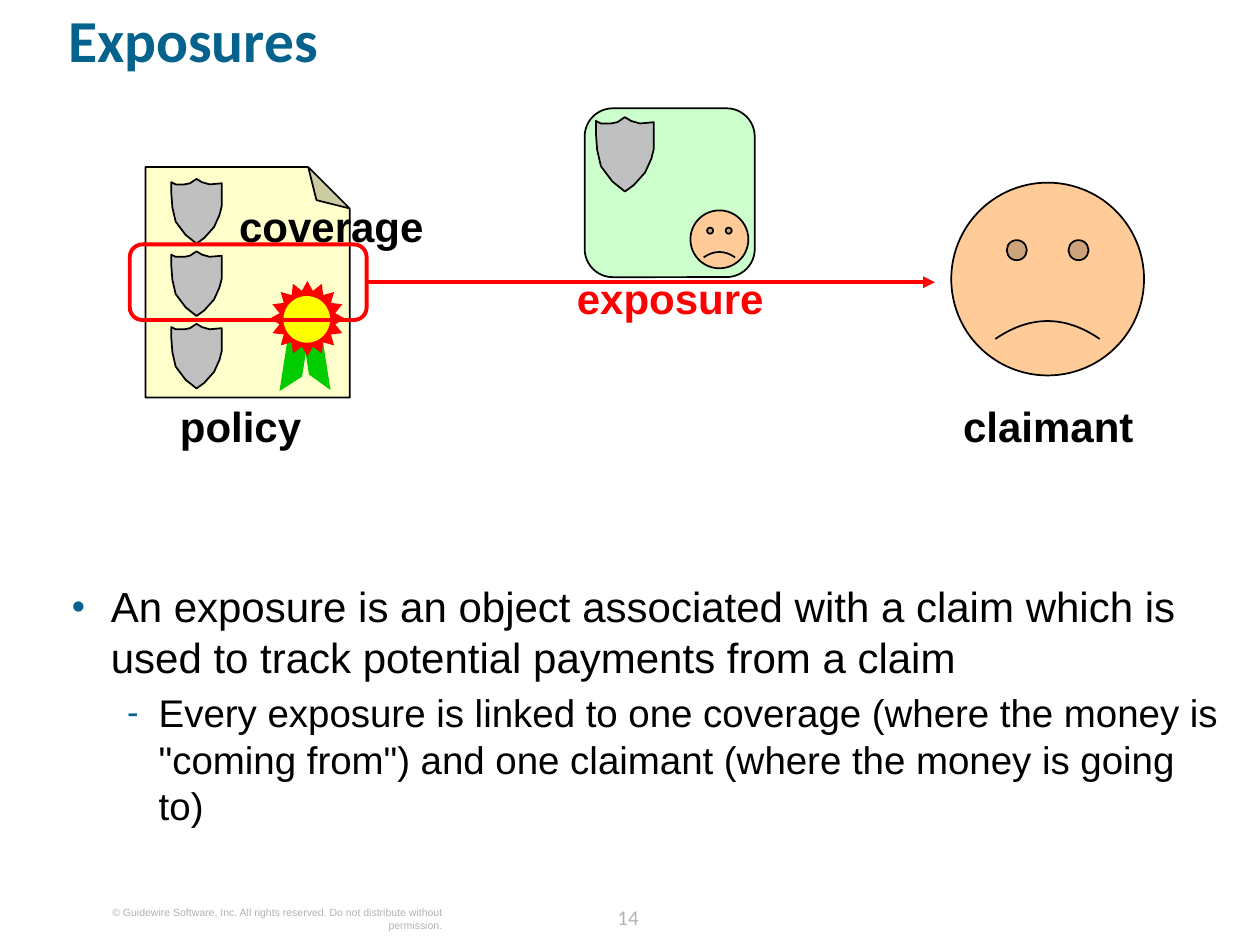
from lxml.etree import SubElement
from pptx import Presentation
from pptx.dml.color import RGBColor
from pptx.enum.shapes import MSO_CONNECTOR, MSO_SHAPE
from pptx.enum.text import MSO_ANCHOR, MSO_AUTO_SIZE, PP_ALIGN
from pptx.oxml.ns import qn
from pptx.util import Inches, Pt

BLACK, RED, BLUE, GRAY, SKIN = "000000", "FF0000", "04628C", "B2B2B2", "FFCC99"
FROWN = -0.047
# Outline of a shield, in hundredths of its 46 by 60 box
SHIELD = [(23, 59), (13, 51), (4, 39), (1, 26), (0, 13), (0, 3), (4, 5),
          (12, 5), (17, 4), (23, 0), (28, 3), (35, 5), (46, 4), (46, 25),
          (44, 33), (39, 44), (30, 54)]


def color(code):
    return RGBColor.from_string(code)


class Board:
    """Holds the slide, the style and the shape tree being drawn on."""

    def __init__(self, slide):
        self.slide = slide
        self.shapes = slide.shapes
        self.font = "Arial"

    def group(self):
        """Send the next shapes to a new group."""
        self.shapes = self.slide.shapes.add_group_shape().shapes

    def ungroup(self):
        self.shapes = self.slide.shapes

    def paint(self, shape, fill, line, width):
        shape.shadow.inherit = False
        if fill:
            shape.fill.solid()
            shape.fill.fore_color.rgb = color(fill)
        else:
            shape.fill.background()
        if line:
            shape.line.color.rgb = color(line)
            shape.line.width = Pt(width)
        else:
            shape.line.fill.background()
        return shape

    def shape(self, kind, box, fill=None, line=None, width=1, adj=None,
              turn=0, flip=False):
        item = self.shapes.add_shape(kind, *map(Inches, box))
        props = item._element.spPr
        if adj is not None:
            # Written as XML: not every preset here lists its adjustment
            guides = props.find(qn("a:prstGeom")).find(qn("a:avLst"))
            SubElement(guides, qn("a:gd"), name="adj",
                       fmla=f"val {round(adj * 100000)}")
        item.rotation = turn
        if flip:
            props.find(qn("a:xfrm")).set("flipH", "1")
        return self.paint(item, fill, line, width)

    def shield(self, left, top, width):
        unit = width / 46
        points = [(Inches(left + x * unit), Inches(top + y * unit))
                  for x, y in SHIELD]
        pen = self.shapes.build_freeform(*points[0])
        pen.add_line_segments(points[1:], close=True)
        self.paint(pen.convert_to_shape(), "C0C0C0", BLACK, 1)

    def arrow(self, start, site, end, code, width):
        line = self.shapes.add_connector(
            MSO_CONNECTOR.STRAIGHT, 0, 0, *map(Inches, end))
        line.begin_connect(start, site)
        line.line.color.rgb = color(code)
        line.line.width = Pt(width)
        props = line._element.spPr
        SubElement(props.find(qn("a:ln")), qn("a:tailEnd"), type="triangle")
        SubElement(props, qn("a:effectLst"))

    def frame(self, shape):
        """Strip margins and pin the text to the top."""
        frame = shape.text_frame
        frame.margin_left = frame.margin_right = 0
        frame.margin_top = frame.margin_bottom = 0
        frame.word_wrap = True
        frame.auto_size = MSO_AUTO_SIZE.NONE
        frame.vertical_anchor = MSO_ANCHOR.TOP
        return frame

    def style(self, para, size, code, bold=False, face=None):
        para.font.name = face or self.font
        para.font.size = Pt(size)
        para.font.bold = bold
        para.font.color.rgb = color(code)

    def text(self, words, box, size, code, bold=False, face=None,
             align=PP_ALIGN.CENTER):
        frame = self.frame(self.shapes.add_textbox(*map(Inches, box)))
        para = frame.paragraphs[0]
        para.text = words
        para.alignment = align
        self.style(para, size, code, bold, face)
        return para

    def label(self, words, left, top, code=BLACK):
        self.text(words, (left, top, 1.5, 0.4), 24, code, bold=True)

    def title(self, words, box):
        title = self.slide.shapes.title
        title.left, title.top, title.width, title.height = map(Inches, box)
        para = self.frame(title).paragraphs[0]
        para.text = words
        para.alignment = PP_ALIGN.LEFT
        para.line_spacing = 0.8
        self.style(para, 34, BLUE, True, "Calibri")

    def bullets(self, items, box):
        """Items are (text, level, mark, indent, hang, size, space before)."""
        frame = self.frame(self.shapes.add_textbox(*map(Inches, box)))
        for i, (words, level, mark, indent, hang, size, gap) in enumerate(items):
            para = frame.add_paragraph() if i else frame.paragraphs[0]
            para.text = words
            para.level = level
            para.space_before = Pt(gap)
            props = para._p.get_or_add_pPr()
            props.set("marL", str(Inches(indent)))
            props.set("indent", str(-Inches(hang)))
            tint = SubElement(props, qn("a:buClr"))
            SubElement(tint, qn("a:srgbClr"), val=BLUE)
            SubElement(props, qn("a:buSzPct"), val="90000")
            SubElement(props, qn("a:buFont"), typeface=self.font)
            SubElement(props, qn("a:buChar"), char=mark)
            self.style(para, size, BLACK)


def main():
    deck = Presentation()
    deck.slide_width, deck.slide_height = Inches(10), Inches(7.5)
    board = Board(deck.slides.add_slide(deck.slide_layouts[5]))

    page = board.text("14", (4.7, 7.13, 0.57, 0.25), 12, GRAY, face="Calibri")
    page.line_spacing = Pt(18)
    board.text("© Guidewire Software, Inc. All rights reserved. "
               "Do not distribute without permission.",
               (0.61, 7.19, 2.9, 0.1), 6, GRAY, align=PP_ALIGN.RIGHT)
    board.title("Exposures", (0.54, 0.13, 9.1, 0.81))
    board.bullets([
        ("An exposure is an object associated with a claim which is used to "
         "track potential payments from a claim", 0, "•", 0.31, 0.31, 24, 0),
        ("Every exposure is linked to one coverage (where the money is "
         "\"coming from\") and one claimant (where the money is going to)",
         1, "-", 0.69, 0.25, 22, 4.4),
    ], (0.57, 4.61, 9.1, 2.38))

    # Exposure card
    board.group()
    board.shape(MSO_SHAPE.ROUNDED_RECTANGLE, (4.64, 0.86, 1.35, 1.34),
                "CCFFCC", BLACK, adj=0.167)
    board.shield(4.73, 0.93, 0.46)
    board.shape(MSO_SHAPE.SMILEY_FACE, (5.48, 1.67, 0.46, 0.46), SKIN, BLACK,
                adj=FROWN)

    # Policy sheet with its coverages and rosette
    board.group()
    board.shape(MSO_SHAPE.FOLDED_CORNER, (1.05, 1.43, 1.83, 1.62), "FFFFCC",
                BLACK, adj=0.203, turn=270)
    for row in range(3):
        board.shield(1.36, 1.42 + row * 0.575, 0.4)
    board.shape(MSO_SHAPE.PARALLELOGRAM, (2.06, 2.76, 0.56, 0.16), "00CC00",
                adj=0.882, turn=278.9, flip=True)
    board.shape(MSO_SHAPE.PARALLELOGRAM, (2.22, 2.75, 0.57, 0.15), "00CC00",
                adj=0.979, turn=81.1)
    board.shape(MSO_SHAPE.STAR_16_POINT, (2.14, 2.23, 0.6, 0.6), RED, adj=0.375)
    board.shape(MSO_SHAPE.OVAL, (2.25, 2.35, 0.37, 0.37), "FFFF00")

    board.ungroup()
    board.shape(MSO_SHAPE.SMILEY_FACE, (7.55, 1.45, 1.53, 1.53), SKIN, BLACK,
                adj=FROWN)
    board.label("policy", 1.16, 3.18)
    ring = board.shape(MSO_SHAPE.ROUNDED_RECTANGLE, (1.03, 1.94, 1.88, 0.6),
                       line=RED, width=2.25, adj=0.167)
    board.arrow(ring, 3, (7.42, 2.24), RED, 2.25)
    board.label("claimant", 7.57, 3.18)
    board.label("exposure", 4.57, 2.16, RED)
    board.label("coverage", 1.88, 1.59)

    deck.save("out.pptx")


if __name__ == "__main__":
    main()
